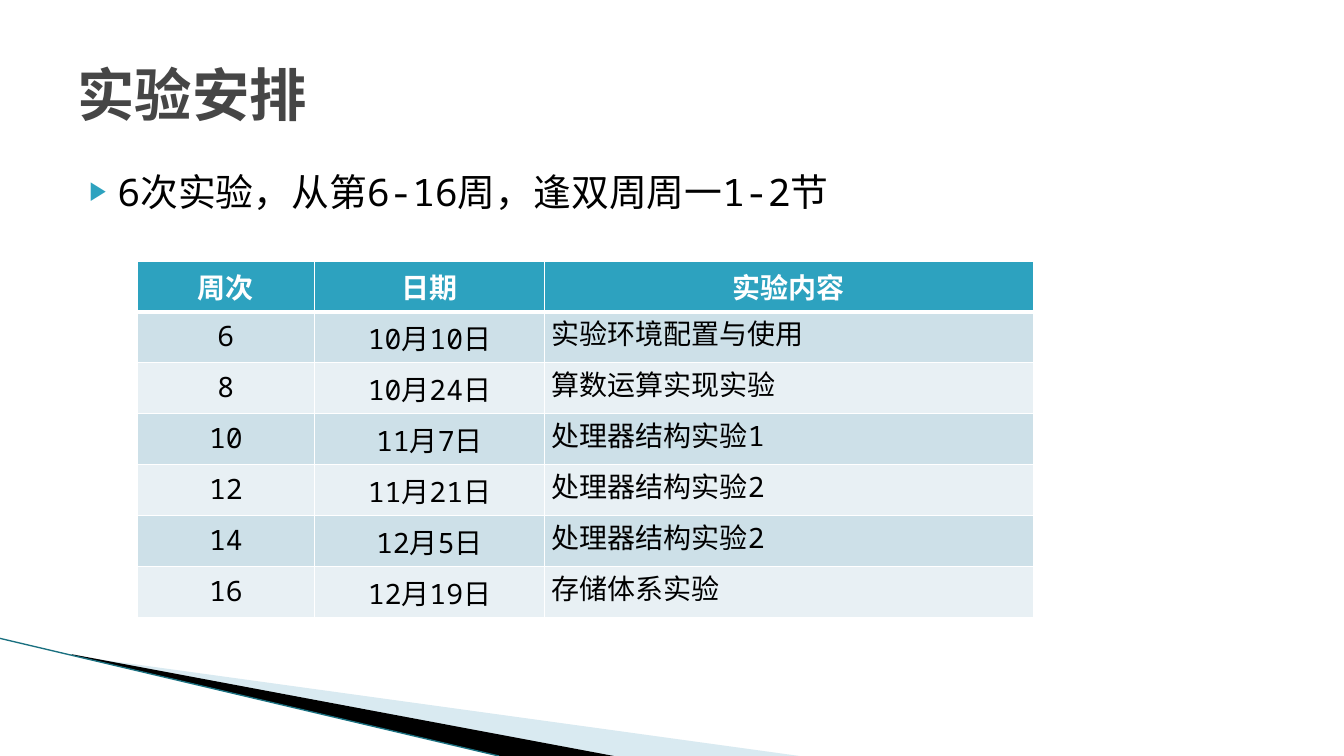
from lxml import etree
from pptx import Presentation
from pptx.dml.color import RGBColor
from pptx.enum.shapes import MSO_CONNECTOR
from pptx.enum.text import MSO_ANCHOR, MSO_AUTO_SIZE, PP_ALIGN
from pptx.oxml.ns import qn
from pptx.util import Pt

STRAIGHT = MSO_CONNECTOR.STRAIGHT
LEFT, CENTER = PP_ALIGN.LEFT, PP_ALIGN.CENTER
TOP, MIDDLE = MSO_ANCHOR.TOP, MSO_ANCHOR.MIDDLE
NO_AUTOFIT = MSO_AUTO_SIZE.NONE

FONT = "Noto Sans Mono"
WHITE = RGBColor(0xFF, 0xFF, 0xFF)
BLACK = RGBColor(0x00, 0x00, 0x00)
GRAY = RGBColor(0x46, 0x46, 0x46)
TEAL = RGBColor(0x2D, 0xA2, 0xBF)
DARK_TEAL = RGBColor(0x1A, 0x70, 0x80)
PALE_BLUE = RGBColor(0xA0, 0xCB, 0xDC)
BAND_DARK = RGBColor(0xCD, 0xE0, 0xE8)
BAND_LIGHT = RGBColor(0xE8, 0xF0, 0xF4)

ROWS = [
    ("周次", "日期", "实验内容"),
    ("6", "10月10日", "实验环境配置与使用"),
    ("8", "10月24日", "算数运算实现实验"),
    ("10", "11月7日", "处理器结构实验1"),
    ("12", "11月21日", "处理器结构实验2"),
    ("14", "12月5日", "处理器结构实验2"),
    ("16", "12月19日", "存储体系实验"),
]
COLUMN_WIDTHS = [126.7, 164.2, 349.2]
ROW_HEIGHT = 36.2


def format_text(para, size, color, bold=False, align=LEFT):
    para.alignment = align
    font = para.font
    font.name, font.size, font.bold = FONT, Pt(size), bold
    font.color.rgb = color


def add_border(cell, side, width):
    line = etree.SubElement(cell._tc.get_or_add_tcPr(), qn(f"a:ln{side}"), w=str(Pt(width)))
    fill = etree.SubElement(line, qn("a:solidFill"))
    etree.SubElement(fill, qn("a:srgbClr"), val=str(WHITE))


deck = Presentation()
deck.slide_width, deck.slide_height = Pt(960), Pt(540)
page = deck.slides.add_slide(deck.slide_layouts[1])
title, body = page.placeholders

# Title
title.left, title.top, title.width, title.height = Pt(48), Pt(21.6), Pt(864), Pt(90)
title.text_frame.text = "实验安排"
title.text_frame.vertical_anchor = MIDDLE
title.text_frame.auto_size = NO_AUTOFIT
format_text(title.text_frame.paragraphs[0], 41, GRAY, bold=True)

# Schedule summary with a triangle bullet
body.left, body.top, body.width, body.height = Pt(48), Pt(116.6), Pt(864), Pt(42.5)
body.text_frame.text = "6次实验，从第6-16周，逢双周周一1-2节"
body.text_frame.vertical_anchor = TOP
body.text_frame.auto_size = NO_AUTOFIT
para = body.text_frame.paragraphs[0]
format_text(para, 27, BLACK)
para.space_before = Pt(4)
props = para._p.get_or_add_pPr()
props.set("marL", str(Pt(28.8)))
props.set("indent", str(Pt(-20.16)))
bullet = [
    etree.Element(qn("a:buClr")),
    etree.Element(qn("a:buSzPct"), val="68000"),
    etree.Element(qn("a:buChar"), char="▶"),
]
etree.SubElement(bullet[0], qn("a:srgbClr"), val=str(TEAL))
for offset, element in enumerate(bullet, start=1):
    props.insert(props.index(props.find(qn("a:spcBef"))) + offset, element)

# Corner wedges
wedges = [
    (PALE_BLUE, [(52.6, 468.5), (571, 540), (437.8, 540), (52.6, 468)]),
    (BLACK, [(51.1, 467.3), (438.5, 540), (357, 540), (51.8, 468)]),
]
for color, points in wedges:
    corners = [(Pt(x), Pt(y)) for x, y in points]
    builder = page.shapes.build_freeform(*corners[0])
    builder.add_line_segments(corners[1:])
    wedge = builder.convert_to_shape()
    wedge.shadow.inherit = False
    wedge.fill.solid()
    wedge.fill.fore_color.rgb = color
    wedge.line.fill.background()
    if color == PALE_BLUE:
        tint = wedge._element.spPr.find(qn("a:solidFill"))[0]
        etree.SubElement(tint, qn("a:alpha"), val="40000")

# Corner edge line
edge = page.shapes.add_connector(STRAIGHT, Pt(0), Pt(456), Pt(356.4), Pt(540))
edge.line.color.rgb = DARK_TEAL
edge.line.width = Pt(0.95)
etree.SubElement(edge._element.spPr, qn("a:effectLst"))

# Experiment table
table = page.shapes.add_table(
    len(ROWS), len(COLUMN_WIDTHS), Pt(98), Pt(186.5),
    Pt(sum(COLUMN_WIDTHS)), Pt(ROW_HEIGHT * len(ROWS)),
).table
for column, width in zip(table.columns, COLUMN_WIDTHS):
    column.width = Pt(width)
for r, texts in enumerate(ROWS):
    table.rows[r].height = Pt(ROW_HEIGHT)
    header = r == 0
    for c, text in enumerate(texts):
        cell = table.cell(r, c)
        cell.text = text
        content = c == 2 and not header
        format_text(cell.text_frame.paragraphs[0], 20, WHITE if header else BLACK,
                    bold=header, align=LEFT if content else CENTER)
        if content:
            cell.margin_left = cell.margin_right = Pt(5)
            cell.margin_top = cell.margin_bottom = 0
        for side in "LRTB":
            at_header_edge = (r, side) in [(0, "B"), (1, "T")]
            add_border(cell, side, 3 if at_header_edge else 1)
        cell.fill.solid()
        cell.fill.fore_color.rgb = TEAL if header else BAND_DARK if r % 2 else BAND_LIGHT

deck.save("out.pptx")
